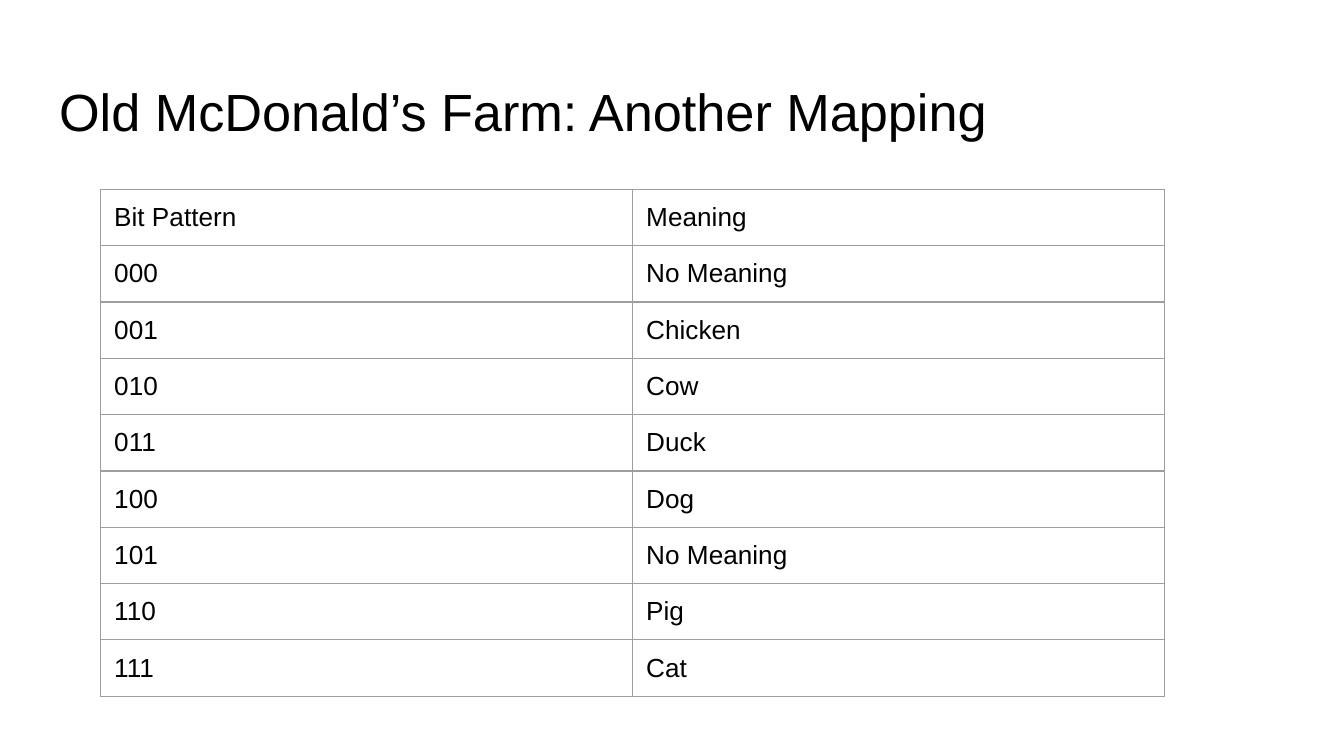
from dataclasses import dataclass

from lxml.etree import SubElement
from pptx import Presentation
from pptx.dml.color import RGBColor
from pptx.enum.text import MSO_ANCHOR, PP_ALIGN
from pptx.oxml.ns import qn
from pptx.util import Inches, Pt


@dataclass(frozen=True)
class Theme:
    font: str = "Arial"
    ink: str = "000000"
    rule: str = "9E9E9E"
    rule_width: float = 0.75
    title_size: int = 28
    cell_size: int = 14
    inset: float = 0.1


THEME = Theme()

MAPPING = [
    ("Bit Pattern", "Meaning"),
    ("000", "No Meaning"),
    ("001", "Chicken"),
    ("010", "Cow"),
    ("011", "Duck"),
    ("100", "Dog"),
    ("101", "No Meaning"),
    ("110", "Pig"),
    ("111", "Cat"),
]
COLUMN_WIDTH = 95 / 24
ROW_HEIGHT = 5 / 12


def set_insets(holder):
    """Give a cell or text frame the same inset on all four sides."""
    holder.margin_left = holder.margin_right = Inches(THEME.inset)
    holder.margin_top = holder.margin_bottom = Inches(THEME.inset)


def style_text(text_frame, size):
    for paragraph in text_frame.paragraphs:
        paragraph.alignment = PP_ALIGN.LEFT
        for run in paragraph.runs:
            run.font.name = THEME.font
            run.font.size = Pt(size)
            run.font.color.rgb = RGBColor.from_string(THEME.ink)


def add_title(slide, wording):
    title = slide.shapes.title
    title.left, title.top = Inches(0.34), Inches(0.48)
    title.width, title.height = Inches(9.32), Inches(0.63)
    frame = title.text_frame
    frame.text = wording
    frame.word_wrap = True
    frame.vertical_anchor = MSO_ANCHOR.MIDDLE
    set_insets(frame)
    style_text(frame, THEME.title_size)
    frame.paragraphs[0].line_spacing = 1.13


def add_borders(cell):
    properties = cell._tc.get_or_add_tcPr()
    for position, side in enumerate(("a:lnL", "a:lnR", "a:lnT", "a:lnB")):
        line = SubElement(properties, qn(side), w=str(Pt(THEME.rule_width)))
        fill = SubElement(line, qn("a:solidFill"))
        SubElement(fill, qn("a:srgbClr"), val=THEME.rule)
        properties.insert(position, line)  # borders precede the cell fill


def add_mapping_table(slide, mapping):
    columns = len(mapping[0])
    table = slide.shapes.add_table(
        len(mapping), columns, Inches(0.75), Inches(1.41),
        Inches(COLUMN_WIDTH * columns), Inches(ROW_HEIGHT * len(mapping)),
    ).table
    table.first_row = table.horz_banding = False
    for row, entries in enumerate(mapping):
        table.rows[row].height = Inches(ROW_HEIGHT)
        for column, wording in enumerate(entries):
            cell = table.cell(row, column)
            cell.text = wording
            cell.fill.background()
            set_insets(cell)
            style_text(cell.text_frame, THEME.cell_size)
            add_borders(cell)


def main():
    presentation = Presentation()
    presentation.slide_width = Inches(10)
    presentation.slide_height = Inches(10 * 9 / 16)
    title_only = presentation.slide_layouts[5]
    slide = presentation.slides.add_slide(title_only)
    add_title(slide, "Old McDonald’s Farm: Another Mapping")
    add_mapping_table(slide, MAPPING)
    presentation.save("out.pptx")


if __name__ == "__main__":
    main()
